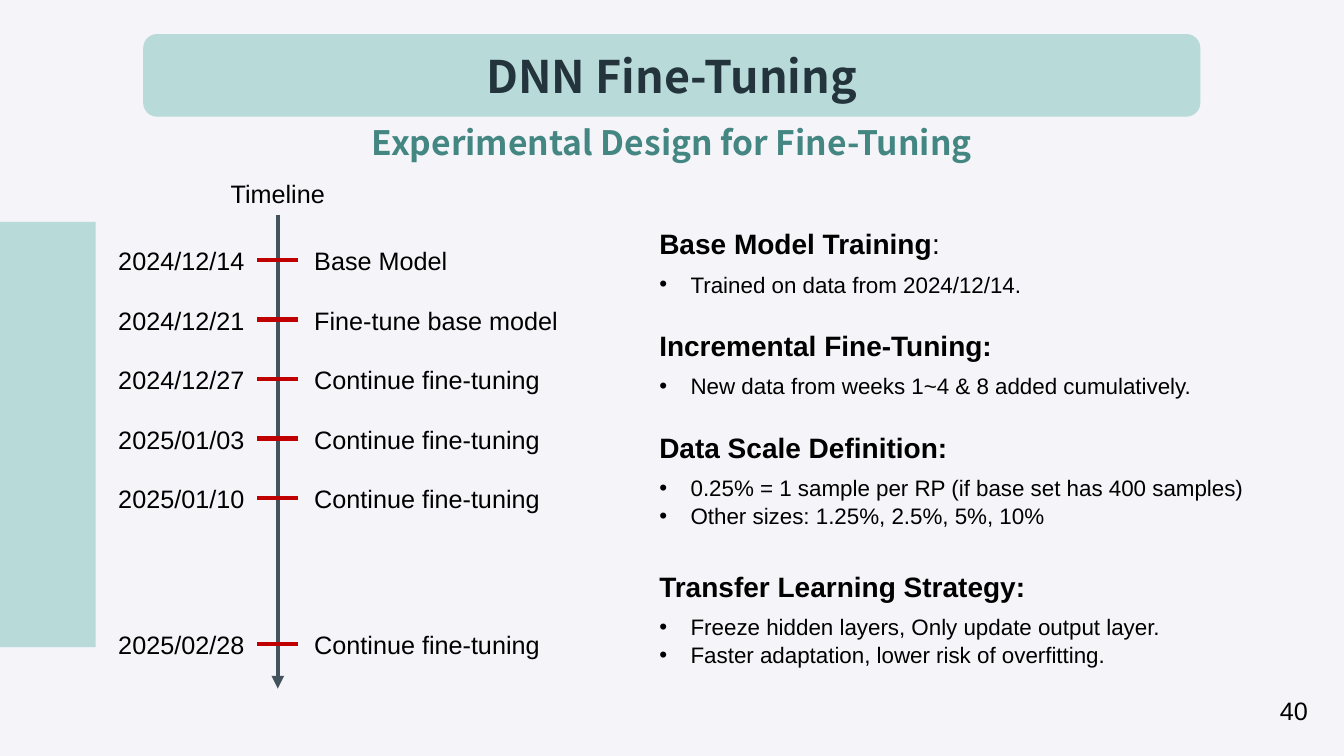
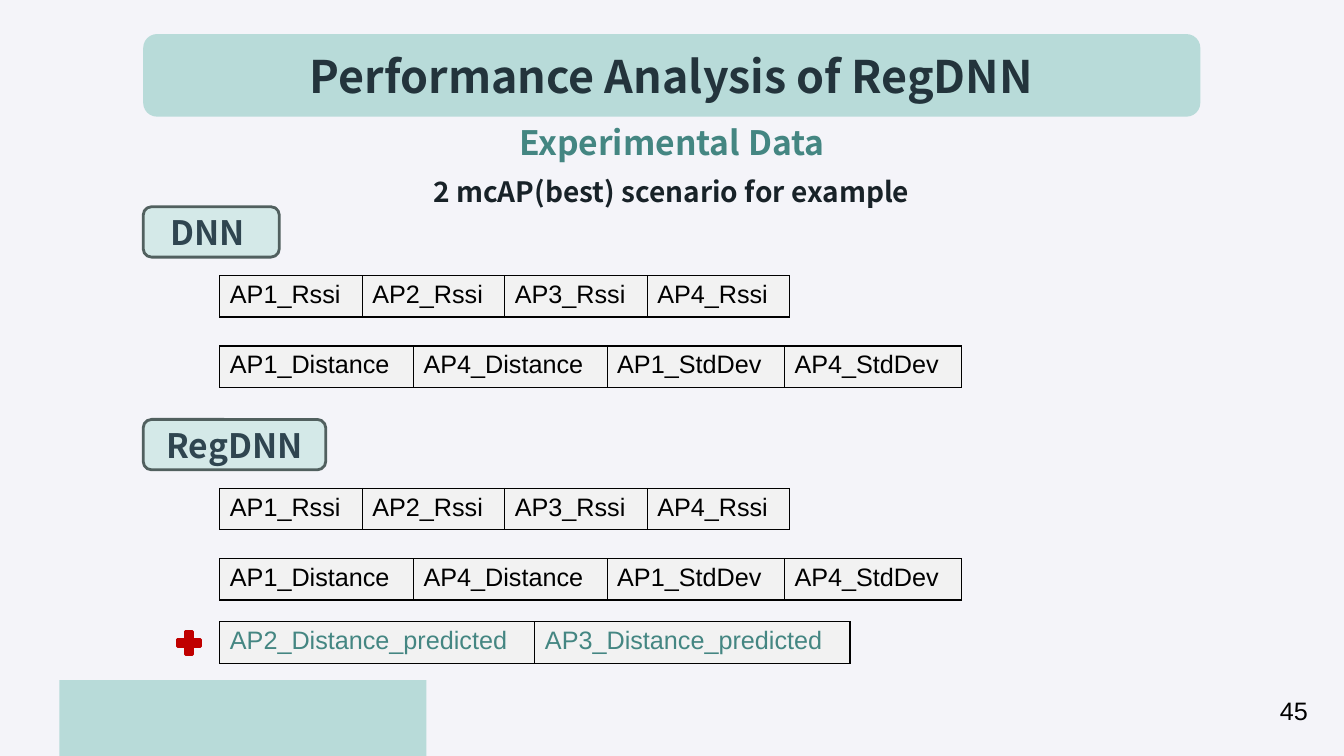
import lxml.etree
import pptx
import pptx.dml.color
import pptx.enum.shapes
import pptx.enum.text
import pptx.oxml.ns
import pptx.util

COLORS = {
    "background": "F4F4F9",
    "band": "B8DBD9",
    "title": "23343C",
    "accent": "448682",
    "note": "182228",
    "text": "000000",
    "axis": "42535D",
    "red": "C00000",
    "tag": "D4E9E8",
    "tag_line": "51605F",
    "tag_text": "2F4550",
    "cell": "F2F2F2",
}
RGB = {name: pptx.dml.color.RGBColor.from_string(value) for name, value in COLORS.items()}
HEADING_FONT = "Noto Sans CJK SC"
CENTER = pptx.enum.text.PP_ALIGN.CENTER
LEFT = pptx.enum.text.PP_ALIGN.LEFT
MIDDLE = pptx.enum.text.MSO_ANCHOR.MIDDLE
SHAPES = pptx.enum.shapes.MSO_SHAPE
STRAIGHT = pptx.enum.shapes.MSO_CONNECTOR.STRAIGHT
Cm = pptx.util.Cm
Pt = pptx.util.Pt
qn = pptx.oxml.ns.qn


def write(paragraph, text, size=18, color="text", font="Arial", bold=False,
          align=LEFT, before=0, spacing=1.0):
    """Append a formatted run and set the format of its paragraph."""
    paragraph.alignment = align
    paragraph.space_before = Pt(before)
    paragraph.line_spacing = spacing
    run = paragraph.add_run()
    run.text = text
    run.font.size = Pt(size)
    run.font.name = font
    run.font.bold = bold
    run.font.color.rgb = RGB[color]


def add_label(slide, box, text, **text_format):
    frame = slide.shapes.add_textbox(*map(Cm, box)).text_frame
    frame.word_wrap = True
    write(frame.paragraphs[0], text, **text_format)


prs = pptx.Presentation()
prs.slide_width, prs.slide_height = Cm(33.87), Cm(19.05)
master_fill = prs.slide_master.background.fill
master_fill.solid()
master_fill.fore_color.rgb = RGB["background"]

# Frame of every slide: layout, title, subtitle, page number, side band
TITLE_BOX = (3.61, 0.86, 26.64, 2.08)
pages = [
    (1, "DNN Fine-Tuning", "Experimental Design for Fine-Tuning", "40",
     (0, 5.59, 2.41, 10.72)),
    (5, "Performance Analysis of RegDNN", "Experimental Data", "45",
     (1.5, 17.14, 9.25, 1.91)),
]
for layout, title_text, subtitle, number, side_band in pages:
    slide = prs.slides.add_slide(prs.slide_layouts[layout])
    title = slide.shapes.title
    title.left, title.top, title.width, title.height = map(Cm, TITLE_BOX)
    title.text_frame.vertical_anchor = MIDDLE
    write(title.text_frame.paragraphs[0], title_text, size=32, color="title",
          font=HEADING_FONT, bold=True, align=CENTER)
    for preset, box in [(SHAPES.ROUNDED_RECTANGLE, TITLE_BOX), (SHAPES.RECTANGLE, side_band)]:
        band = slide.shapes.add_shape(preset, *map(Cm, box))
        band.shadow.inherit = False
        band.fill.solid()
        band.fill.fore_color.rgb = RGB["band"]
        band.line.fill.background()
        title._element.addprevious(band._element)
    add_label(slide, (3.61, 2.95, 26.64, 1.27), subtitle, size=24, color="accent",
              font=HEADING_FONT, bold=True, align=CENTER)
    add_label(slide, (31.95, 17.4, 1.32, 1.02), number, align=CENTER)

tuning, analysis = prs.slides

# Timeline
AXIS_X, FIRST_Y, STEP = 7.0, 6.55, 1.5
LAST_Y = 16.23
milestones = [
    ("2024/12/14", "Base Model"),
    ("2024/12/21", "Fine-tune base model"),
    ("2024/12/27", "Continue fine-tuning"),
    ("2025/01/03", "Continue fine-tuning"),
    ("2025/01/10", "Continue fine-tuning"),
    ("2025/02/28", "Continue fine-tuning"),
]
levels = [FIRST_Y + STEP * i for i in range(len(milestones) - 1)] + [LAST_Y]
strokes = [((AXIS_X, 5.41, AXIS_X, 17.35), "axis")]
strokes += [((AXIS_X - 0.52, y, AXIS_X + 0.52, y), "red") for y in levels]
for ends, color in strokes:
    stroke = tuning.shapes.add_connector(STRAIGHT, *map(Cm, ends))
    stroke.line.width = Pt(3)
    stroke.line.color.rgb = RGB[color]
    if color == "axis":
        lxml.etree.SubElement(stroke.line._get_or_add_ln(), qn("a:tailEnd"), type="triangle")
    lxml.etree.SubElement(stroke._element.spPr, qn("a:effectLst"))

add_label(tuning, (5.44, 4.37, 3.12, 1.02), "Timeline", align=CENTER)
for (date, event), y in zip(milestones, levels):
    add_label(tuning, (2.41, y - 0.49, 4.32, 1.02), date, align=CENTER)
    add_label(tuning, (7.67, y - 0.49, 7, 1.02), event)

# Experiment design list
design = [
    ("Base Model Training", 0, ["Trained on data from 2024/12/14."]),
    ("Incremental Fine-Tuning:", 22, ["New data from weeks 1~4 & 8 added cumulatively."]),
    ("Data Scale Definition:", 22, ["0.25% = 1 sample per RP (if base set has 400 samples)",
                                    "Other sizes: 1.25%, 2.5%, 5%, 10%"]),
    ("Transfer Learning Strategy:", 28.5, ["Freeze hidden layers, Only update output layer.",
                                           "Faster adaptation, lower risk of overfitting."]),
]
body = tuning.placeholders[1]
body.left, body.top, body.width, body.height = map(Cm, (16.36, 5.59, 16.94, 11.15))
body.text_frame.auto_size = pptx.enum.text.MSO_AUTO_SIZE.NONE
for section, (heading, gap, points) in enumerate(design):
    paragraph = body.text_frame.add_paragraph() if section else body.text_frame.paragraphs[0]
    properties = paragraph._p.get_or_add_pPr()
    properties.set("marL", "0")
    properties.set("indent", "0")
    lxml.etree.SubElement(properties, qn("a:buNone"))
    write(paragraph, heading, size=20, bold=True, before=gap)
    if not heading.endswith(":"):
        write(paragraph, ":", size=20, before=gap)
    for i, point in enumerate(points):
        paragraph = body.text_frame.add_paragraph()
        properties = paragraph._p.get_or_add_pPr()
        properties.set("marL", str(Cm(0.79)))
        properties.set("indent", str(-Cm(0.79)))
        lxml.etree.SubElement(properties, qn("a:buChar"), char="•")
        write(paragraph, point, size=16, before=0 if i else 6.5, spacing=1.05)

# Input features of both models
add_label(analysis, (8.46, 4.27, 16.92, 1.12), "2 mcAP(best) scenario for example",
          size=20, color="note", font=HEADING_FONT, bold=True, align=CENTER)
measured = [
    (1.74, "text", [(f"AP{n}_Rssi", 3.59) for n in range(1, 5)]),
    (3.51, "text", [("AP1_Distance", 4.88), ("AP4_Distance", 4.88),
                    ("AP1_StdDev", 4.47), ("AP4_StdDev", 4.47)]),
]
predicted = (5.1, "accent", [("AP2_Distance_predicted", 7.94), ("AP3_Distance_predicted", 7.94)])
models = [
    ("DNN ", 5.21, 3.43, measured),
    ("RegDNN", 10.57, 4.6, measured + [predicted]),
]
for model, top, tag_width, feature_rows in models:
    tag = analysis.shapes.add_shape(SHAPES.ROUNDED_RECTANGLE,
                                    *map(Cm, (3.61, top, tag_width, 1.27)))
    tag.shadow.inherit = False
    tag.fill.solid()
    tag.fill.fore_color.rgb = RGB["tag"]
    tag.line.color.rgb = RGB["tag_line"]
    tag.line.width = Pt(2)
    tag.text_frame.vertical_anchor = MIDDLE
    write(tag.text_frame.paragraphs[0], model, size=24, color="tag_text",
          font=HEADING_FONT, bold=True, align=CENTER)
    for offset, color, features in feature_rows:
        row_width = sum(width for _, width in features)
        table = analysis.shapes.add_table(
            1, len(features), *map(Cm, (5.54, top + offset, row_width, 1.04))).table
        table.first_row = table.horz_banding = False
        for column, (feature, width) in enumerate(features):
            table.columns[column].width = Cm(width)
            cell = table.cell(0, column)
            properties = cell._tc.get_or_add_tcPr()
            for side in ("a:lnL", "a:lnR", "a:lnT", "a:lnB"):
                border = lxml.etree.SubElement(properties, qn(side), w=str(Pt(1)))
                border_fill = lxml.etree.SubElement(border, qn("a:solidFill"))
                lxml.etree.SubElement(border_fill, qn("a:srgbClr"), val=COLORS["text"])
            cell.fill.solid()
            cell.fill.fore_color.rgb = RGB["cell"]
            write(cell.text_frame.paragraphs[0], feature, color=color)

plus = analysis.shapes.add_shape(SHAPES.MATH_PLUS, *map(Cm, (4.37, 15.8, 0.79, 0.81)))
plus.shadow.inherit = False
plus.fill.solid()
plus.fill.fore_color.rgb = RGB["red"]
plus.line.color.rgb = RGB["red"]
plus.line.width = Pt(2)

prs.save("out.pptx")
